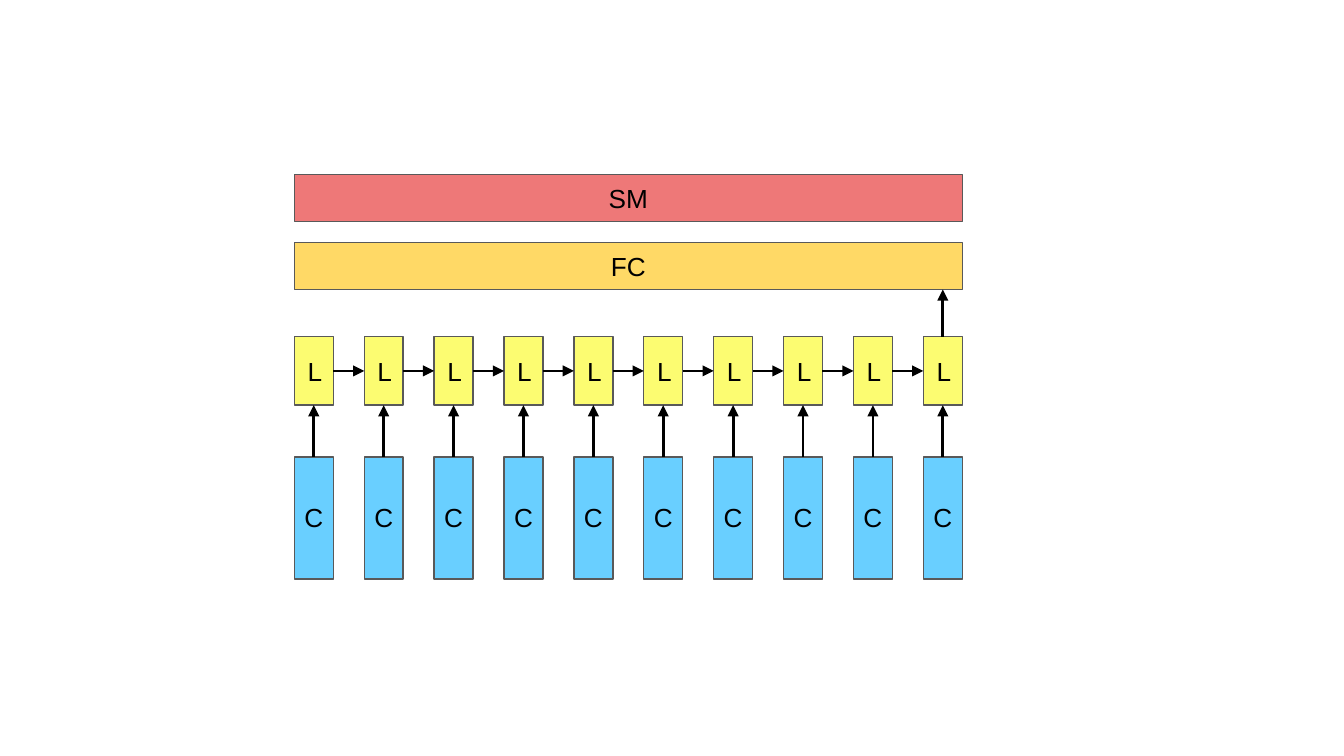
from lxml import etree
from pptx import Presentation
from pptx.dml.color import RGBColor
from pptx.enum.shapes import MSO_CONNECTOR, MSO_SHAPE
from pptx.enum.text import MSO_ANCHOR, PP_ALIGN
from pptx.oxml.ns import qn
from pptx.util import Pt

SCALE = 4572
RECT = MSO_SHAPE.RECTANGLE
LINE = MSO_CONNECTOR.STRAIGHT
LEFT, CENTER = PP_ALIGN.LEFT, PP_ALIGN.CENTER
TOP, MIDDLE = MSO_ANCHOR.TOP, MSO_ANCHOR.MIDDLE
NORTH, WEST, SOUTH, EAST = range(4)
STEPS, START, PITCH, WIDTH = 10, 438, 104, 58
SPAN = (STEPS - 1) * PITCH + WIDTH


def px(*sizes):
    return [size * SCALE for size in sizes]


def color(code):
    return RGBColor.from_string(code)


def write(shape, text, align=CENTER, anchor=MIDDLE, size=14, font="Arial", ink="000000"):
    frame = shape.text_frame
    frame.word_wrap = True
    frame.vertical_anchor = anchor
    frame.margin_left = frame.margin_right = 20 * SCALE
    frame.margin_top = frame.margin_bottom = 20 * SCALE
    para = frame.paragraphs[0]
    para.alignment = align
    run = para.add_run()
    run.text = text
    run.font.size = Pt(size)
    run.font.name = font
    run.font.color.rgb = color(ink)


class Diagram:
    """Draws boxes, labels and arrows on one slide in a shared style."""

    edge = "595959"
    ink = "000000"
    thin = 0.75
    bold = 1.5

    def __init__(self, slide):
        self.slide = slide

    def box(self, x, y, w, h, fill, text="", align=CENTER):
        shape = self.slide.shapes.add_shape(RECT, *px(x, y, w, h))
        shape.shadow.inherit = False
        shape.fill.solid()
        shape.fill.fore_color.rgb = color(fill)
        shape.line.color.rgb = color(self.edge)
        shape.line.width = Pt(self.thin)
        if text:
            write(shape, text, align=align)
        return shape

    def label(self, x, y, w, h, text):
        write(self.slide.shapes.add_textbox(*px(x, y, w, h)), text, anchor=TOP)

    def arrow(self, first, leave, last, enter=None, width=bold):
        x = first.left + first.width // 2
        line = self.slide.shapes.add_connector(
            LINE, x, first.top, x, last.top + last.height)
        line.begin_connect(first, leave)
        if enter is not None:
            line.end_connect(last, enter)
        line.line.color.rgb = color(self.ink)
        line.line.width = Pt(width)
        etree.SubElement(line.line._get_or_add_ln(), qn("a:tailEnd"), type="triangle")
        etree.SubElement(line._element.spPr, qn("a:effectLst"))


def main():
    deck = Presentation()
    deck.slide_width, deck.slide_height = px(2000, 1125)
    draw = Diagram(deck.slides.add_slide(deck.slide_layouts[6]))

    draw.box(START, 260, SPAN, 70, "EE7878", "SM")
    dense = draw.box(START, 361, SPAN, 70, "FFD966", "FC")
    prior = None
    for step in range(STEPS):
        x = START + step * PITCH
        cell = draw.box(x, 501, WIDTH, 102, "FCFC71", "L", align=LEFT)
        conv = draw.box(x, 680, WIDTH, 182, "69CFFF")
        draw.label(x - 23, 726, 104, 90, "C")
        draw.arrow(conv, NORTH, cell, SOUTH)
        if prior:
            draw.arrow(prior, EAST, cell, WEST, width=draw.thin)
        prior = cell
    draw.arrow(prior, NORTH, dense)

    deck.save("out.pptx")


if __name__ == "__main__":
    main()
